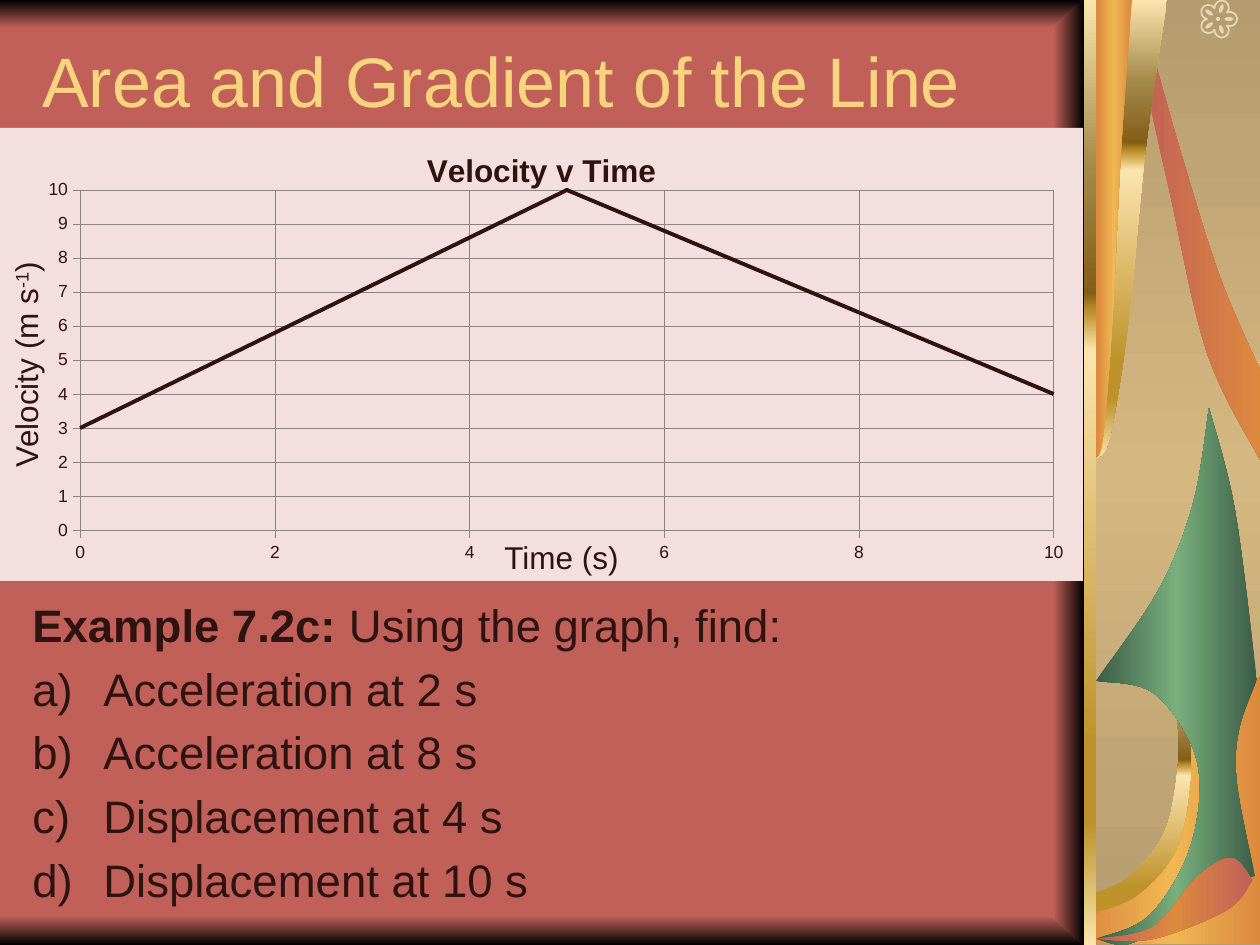
import math
import pptx
import pptx.chart.data
import pptx.dml.color
import pptx.enum.chart
import pptx.enum.shapes
import pptx.enum.text
import pptx.oxml
import pptx.oxml.ns
import pptx.util

RGB = pptx.dml.color.RGBColor
SHAPE = pptx.enum.shapes.MSO_SHAPE
Pt = pptx.util.Pt
qn = pptx.oxml.ns.qn
NS = pptx.oxml.ns.nsdecls("a", "c")
PX = 914400 / 126
PAGE_W, PAGE_H = 1260, 945
BAR_X, SAND_X = 1084, 1096

RED = RGB(0xC1, 0x60, 0x59)
BLACK = RGB(0, 0, 0)
INK = RGB(0x2F, 0x13, 0x11)
YELLOW = RGB(0xF7, 0xD4, 0x7D)
PINK = RGB(0xF3, 0xDF, 0xDE)
GREY = RGB(0x8C, 0x83, 0x83)
CREAM = RGB(0xE7, 0xD6, 0xB7)
SAND = RGB(0xB5, 0x9C, 0x6E)
PALE_SAND = RGB(0xD5, 0xB7, 0x81)
ORANGE = RGB(0xDC, 0x89, 0x3E)
AMBER = RGB(0xF0, 0xB8, 0x54)
GREEN = RGB(0x3B, 0x5C, 0x46)
LEAF = RGB(0x79, 0xAF, 0x7D)
GOLD = RGB(0xBD, 0x92, 0x2A)
PALE_GOLD = RGB(0xFB, 0xE4, 0xAE)
OLIVE = RGB(0xA2, 0x89, 0x49)
BRONZE = RGB(0x83, 0x5E, 0x17)

DOWN, ACROSS = 90, 0
RED_TO_BLACK = [(0, RED), (100, BLACK)]
BLACK_TO_RED = [(0, BLACK), (100, RED)]
RED_TO_ORANGE = [(0, RED), (100, ORANGE)]
SAND_SHEEN = [(0, SAND), (50, PALE_SAND), (100, SAND)]
ORANGE_SHEEN = [(0, ORANGE), (50, AMBER), (100, ORANGE)]
GREEN_SHEEN = [(0, GREEN), (50, LEAF), (100, GREEN)]
RED_SHEEN = [(0, RED), (50, ORANGE), (100, RED)]
METAL = [(0, PALE_GOLD), (18, OLIVE), (31, BRONZE), (33, GOLD),
         (37, PALE_GOLD), (79, GOLD), (87, GOLD), (100, PALE_GOLD)]


def paint(sp, stops, angle):
    sp.shadow.inherit = False
    sp.line.fill.background()
    sp.fill.gradient()
    grad = sp._element.spPr.find(qn("a:gradFill"))
    gs_list = grad.find(qn("a:gsLst"))
    for gs in list(gs_list):
        gs_list.remove(gs)
    for pos, color in stops:
        gs_list.append(pptx.oxml.parse_xml(
            f'<a:gs {NS} pos="{pos * 1000}"><a:srgbClr val="{color}"/></a:gs>'))
    grad.find(qn("a:lin")).set("ang", str(angle * 60000))


def outline(*edges, steps=8):
    pts = []
    for edge in edges:
        knots = [edge[0], *edge, edge[-1]]
        for before, a, b, after in zip(knots, knots[1:], knots[2:], knots[3:]):
            for t in (i / steps for i in range(steps)):
                pts.append([q + t * (r - p) / 2 + t * t * (2 * p - 5 * q + 4 * r - n) / 2
                            + t ** 3 * (3 * q - p - 3 * r + n) / 2
                            for p, q, r, n in zip(before, a, b, after)])
        pts.append(edge[-1])
    emu = [(round(x * PX), round(y * PX)) for x, y in pts]
    fb = s.shapes.build_freeform(*emu[0], scale=1.0)
    fb.add_line_segments(emu[1:], close=True)
    return fb.convert_to_shape()


prs = pptx.Presentation()
prs.slide_width, prs.slide_height = round(PAGE_W * PX), round(PAGE_H * PX)
s = prs.slides.add_slide(prs.slide_layouts[6])
s.background.fill.solid()
s.background.fill.fore_color.rgb = RED

for box, stops in [((0, 916, SAND_X, 29), RED_TO_BLACK),
                   ((0, 0, SAND_X, 28), BLACK_TO_RED),
                   ((SAND_X, 0, PAGE_W - SAND_X, PAGE_H), SAND_SHEEN)]:
    sp = s.shapes.add_shape(SHAPE.RECTANGLE, *[round(v * PX) for v in box])
    paint(sp, stops, DOWN)

flower_x, flower_y, petal_count = 1218, 19, 5
rim = []
for degree in range(0, 360, 4):
    a = math.radians(degree)
    radius = 11 + 8 * abs(math.cos(petal_count * a / 2)) ** 0.7
    rim.append((flower_x + radius * math.cos(a), flower_y + radius * math.sin(a)))
sp = outline(rim, steps=1)
sp.shadow.inherit = False
sp.fill.background()
sp.line.color.rgb = CREAM
sp.line.width = Pt(1)
petals = [(11, i * 360 / petal_count, 9, 4) for i in range(petal_count)]
for radius, degree, w, h in petals + [(0, 0, 4, 4)]:
    a = math.radians(degree)
    x, y = flower_x + radius * math.cos(a) - w / 2, flower_y + radius * math.sin(a) - h / 2
    sp = s.shapes.add_shape(SHAPE.OVAL, *[round(v * PX) for v in (x, y, w, h)])
    sp.rotation = degree
    sp.shadow.inherit = False
    sp.fill.solid()
    sp.fill.fore_color.rgb = CREAM
    sp.line.fill.background()

stem_curve = [(1177, 711), (1178, 766), (1164, 834), (1126, 879), (BAR_X, 897)]
stem_base = [(BAR_X, 944), (PAGE_W, 944), (PAGE_W, 677), (1246, 677)]
for dx, dy, stops, angle in [(0, 0, METAL, DOWN), (13, 16, ORANGE_SHEEN, ACROSS)]:
    curve = [(x + dx, y + dy) for x, y in stem_curve]
    paint(outline(curve, *[[corner] for corner in stem_base]), stops, angle)

leaf_tip, leaf_barb, leaf_foot = (1209, 408), (SAND_X, 681), (SAND_X, 939)
leaf_heel, leaf_notch = (1255, 876), (1257, 680)
leaf_edges = [[leaf_tip, (1193, 504), (1158, 591), leaf_barb],
              [leaf_barb, (1155, 694), (1197, 761), (1191, 845), (1150, 915), leaf_foot],
              [leaf_foot, (1135, 942), (1200, 893), leaf_heel],
              [leaf_heel, (1237, 784), (1239, 730), leaf_notch],
              [leaf_notch, (1235, 510), leaf_tip]]
paint(outline(*leaf_edges), GREEN_SHEEN, ACROSS)

vine_upper = [(1152, 50), (1182, 156), (1220, 277), (PAGE_W, 370)]
vine_lower = [(PAGE_W, 460), (1207, 353), (1169, 189), (1140, 60)]
paint(outline(vine_upper, vine_lower), RED_TO_ORANGE, ACROSS)

blade_profile = [(1, 0), (0.7, 149), (0.46, 320), (0.2, 436), (0, 459)]
for width, stops, angle in [(71, METAL, DOWN), (36, ORANGE_SHEEN, ACROSS)]:
    edge = [(SAND_X + width * share, y) for share, y in blade_profile]
    paint(outline(edge, [(SAND_X, 0)]), stops, angle)

bar = (BAR_X, 0, SAND_X - BAR_X, PAGE_H)
paint(s.shapes.add_shape(SHAPE.RECTANGLE, *[round(v * PX) for v in bar]), METAL, DOWN)

sprout_tip = (1253, 880)
sprout_top = [leaf_foot, (1153, 927), (1196, 878), (1231, 858), sprout_tip]
sprout_bottom = [sprout_tip, (1227, 910), (1153, 939), leaf_foot]
paint(outline(sprout_top, sprout_bottom), RED_SHEEN, ACROSS)

shade_x, bevel = 1053, 27
shade = [(BAR_X, 0), (shade_x, bevel), (shade_x, PAGE_H - bevel), (BAR_X, PAGE_H)]
paint(outline(shade, steps=1), RED_TO_BLACK, ACROSS)

data = pptx.chart.data.XyChartData()
series = data.add_series("Velocity v Time")
for time, velocity in [(0, 3), (5, 10), (10, 4)]:
    series.add_data_point(time, velocity)
chart = s.shapes.add_chart(pptx.enum.chart.XL_CHART_TYPE.XY_SCATTER_LINES_NO_MARKERS,
                           *[round(v * PX) for v in (0, 128, 1083, 453)], data).chart
chart.has_legend = False
chart.font.name, chart.font.size = "Arial", Pt(10)
chart.font.color.rgb = INK
chart.has_title = True
r = chart.chart_title.text_frame.paragraphs[0].add_run()
r.text = "Velocity v Time"
for key, value in {"name": "Arial", "size": Pt(18), "bold": True}.items():
    setattr(r.font, key, value)
r.font.color.rgb = INK
plot = chart.plots[0]
plot.vary_by_categories = False
plot.series[0].smooth = False
plot.series[0].format.line.color.rgb = INK
plot.series[0].format.line.width = Pt(2.25)
for axis, unit in [(chart.category_axis, 2), (chart.value_axis, 1)]:
    for key, value in {"minimum_scale": 0, "maximum_scale": 10, "major_unit": unit,
                       "has_major_gridlines": True,
                       "major_tick_mark": pptx.enum.chart.XL_TICK_MARK.OUTSIDE}.items():
        setattr(axis, key, value)
    for line in (axis.format.line, axis.major_gridlines.format.line):
        line.color.rgb, line.width = GREY, Pt(0.25)
space = chart._chartSpace
area = space.chart.plotArea
for old in area.findall(qn("c:layout")):
    area.remove(old)
area.insert(0, pptx.oxml.parse_xml(
    f'<c:layout {NS}><c:manualLayout><c:layoutTarget val="inner"/><c:xMode val="edge"/>'
    '<c:yMode val="edge"/><c:x val="0.074"/><c:y val="0.137"/><c:w val="0.899"/>'
    '<c:h val="0.751"/></c:manualLayout></c:layout>'))
space.chart.addnext(pptx.oxml.parse_xml(
    f'<c:spPr {NS}><a:solidFill><a:srgbClr val="{PINK}"/></a:solidFill>'
    '<a:ln><a:noFill/></a:ln></c:spPr>'))

title = [[("Area and Gradient of the Line", False, 0)]]
questions = ["Acceleration at 2 s", "Acceleration at 8 s",
             "Displacement at 4 s", "Displacement at 10 s"]
body = [[("Example 7.2c:", True, 0), (" Using the graph, find:", False, 0)]]
body += [[(question, False, 0)] for question in questions]
time_label = [[("Time (s)", False, 0)]]
velocity_label = [[("Velocity (m s", False, 0), ("-1", False, 30000), (")", False, 0)]]
hanging = round(71 * PX)
middle = pptx.enum.text.MSO_ANCHOR.MIDDLE
for box, paragraphs, size, color, frame, turn in [
        ((30, 0, 1031, 158), title, 40, YELLOW,
         {"word_wrap": True, "vertical_anchor": middle}, 0),
        ((20, 591, 1034, 335), body, 26, INK, {"word_wrap": True}, 0),
        ((492, 532, 142, 50), time_label, 18, INK, {"word_wrap": True}, 0),
        ((-91, 338, 233, 50), velocity_label, 18, INK, {"word_wrap": False}, 270)]:
    sp = s.shapes.add_textbox(*[round(v * PX) for v in box])
    sp.rotation = turn
    tf = sp.text_frame
    for key, value in frame.items():
        setattr(tf, key, value)
    for i, runs in enumerate(paragraphs):
        p = tf.add_paragraph() if i else tf.paragraphs[0]
        if i:
            p.space_before = Pt(size * 0.2)
            pPr = p._p.get_or_add_pPr()
            pPr.set("marL", str(hanging))
            pPr.set("indent", str(-hanging))
            pPr.append(pptx.oxml.parse_xml(f'<a:buAutoNum {NS} type="alphaLcParenR"/>'))
        for text, bold, baseline in runs:
            r = p.add_run()
            r.text = text
            for key, value in {"name": "Arial", "size": Pt(size), "bold": bold}.items():
                setattr(r.font, key, value)
            r.font.color.rgb = color
            if baseline:
                r._r.get_or_add_rPr().set("baseline", str(baseline))

prs.save("out.pptx")
